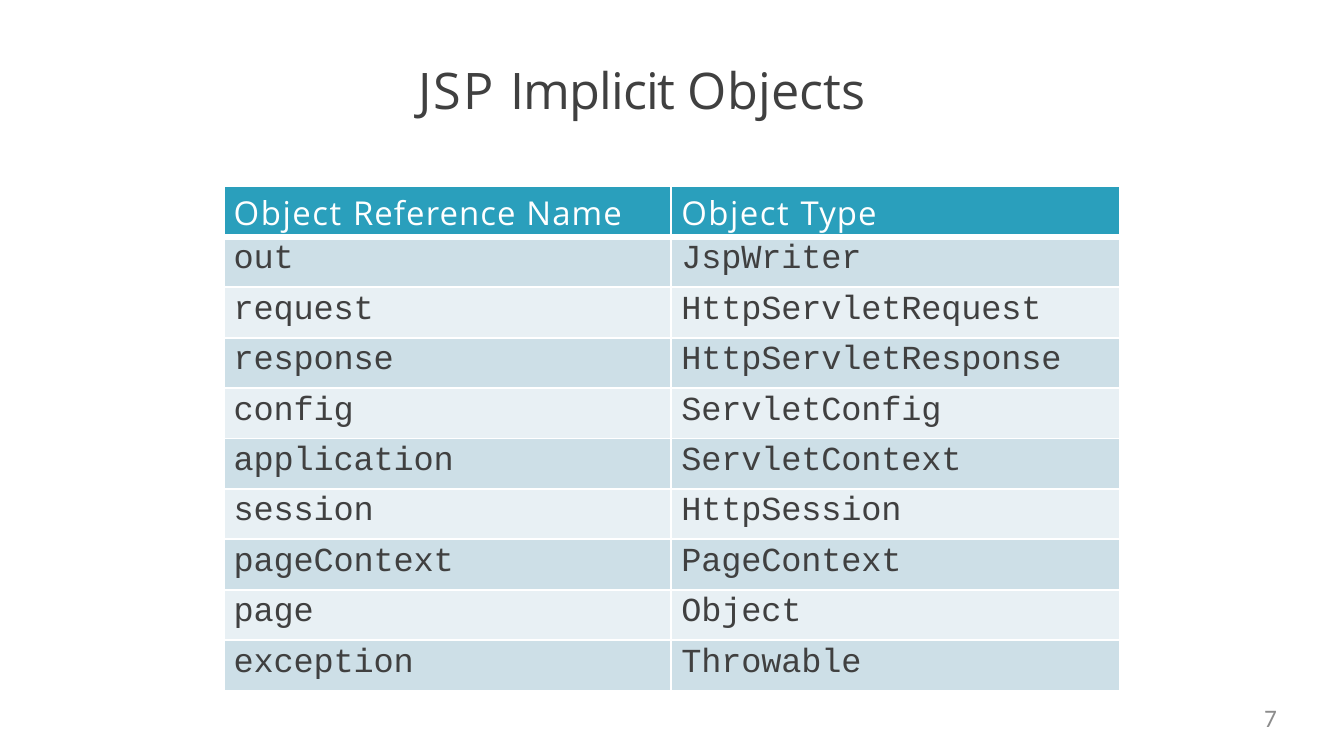
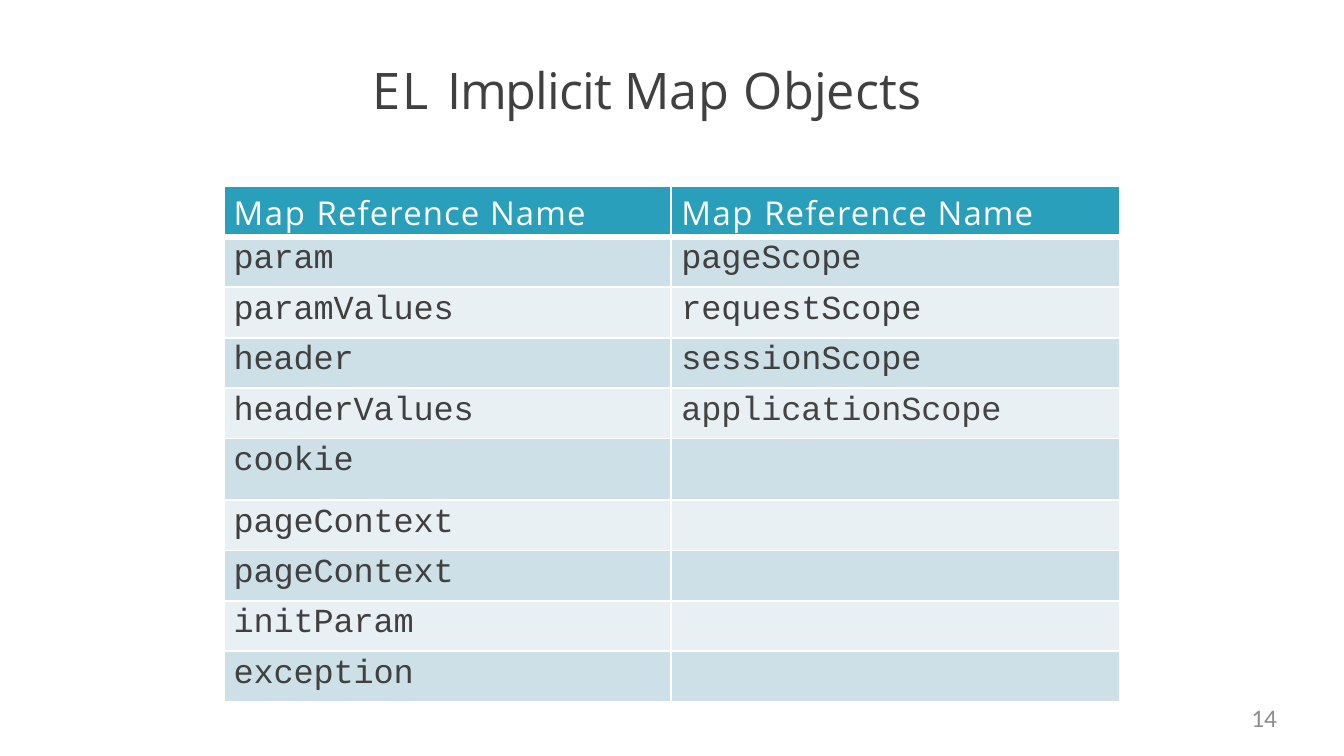
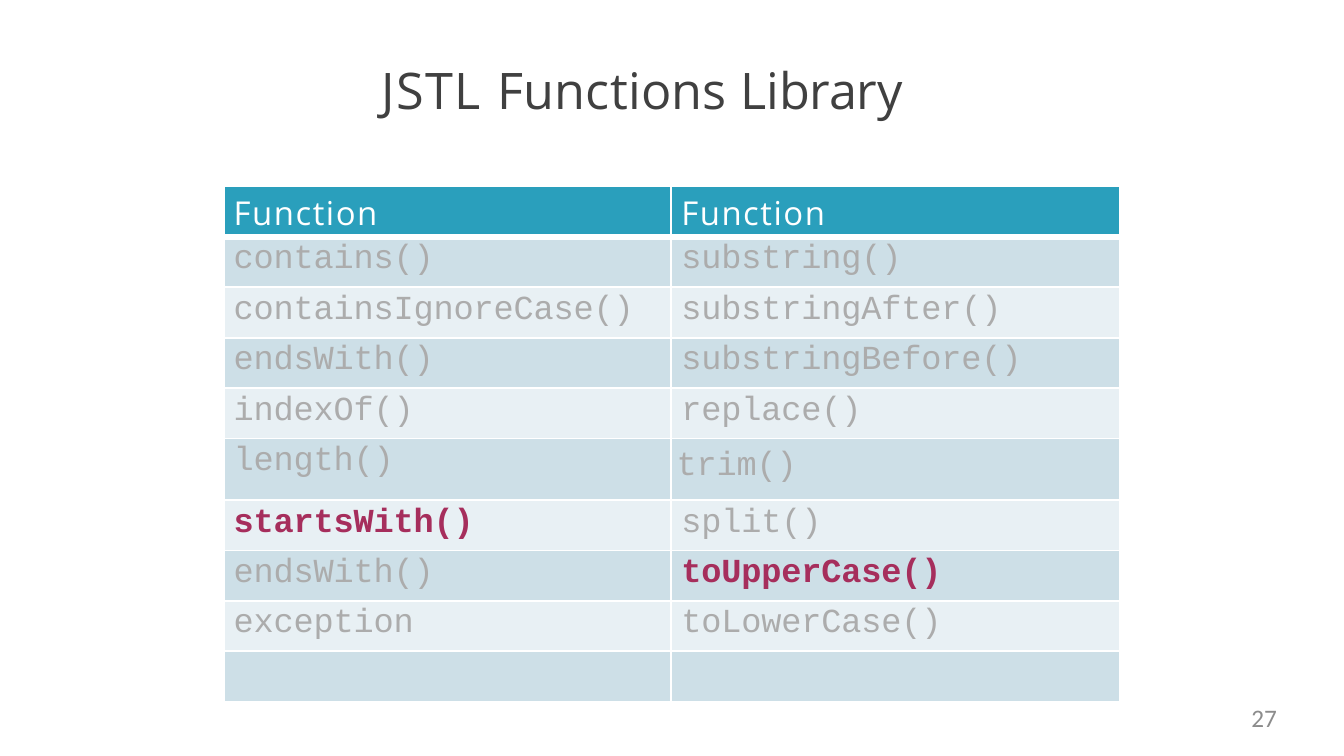
from dataclasses import dataclass, field, replace

from lxml.etree import SubElement
from pptx import Presentation
from pptx.dml.color import RGBColor
from pptx.enum.text import MSO_AUTO_SIZE as AutoSize, PP_ALIGN as Align
from pptx.oxml.ns import qn
from pptx.slide import Slide
from pptx.table import _Cell as Cell
from pptx.text.text import TextFrame, _Paragraph as Paragraph
from pptx.util import Cm, Pt

# Colours and fonts
WHITE = RGBColor(0xFF, 0xFF, 0xFF)
TEAL = RGBColor(0x2A, 0x9F, 0xBC)
BANDS = (RGBColor(0xCD, 0xDF, 0xE7), RGBColor(0xE8, 0xF0, 0xF4))
DARK = RGBColor(0x40, 0x40, 0x40)
SOFT_DARK = RGBColor(0x44, 0x44, 0x44)
FADED = RGBColor(0xAC, 0xAC, 0xAC)
BERRY = RGBColor(0xA6, 0x2E, 0x5C)
GREY = RGBColor(0x8C, 0x8C, 0x8C)
SANS, MONO, FOOTER_FONT = "Open Sans", "Courier New", "Calibri"

# Table measures
COLUMN_WIDTHS = (Cm(11.28), Cm(11.3))
ROW_HEIGHT, TALL_ROW_HEIGHT = Cm(1.27), Cm(1.55)
THIN, THICK = Pt(1.5), Pt(4.25)


@dataclass(frozen=True)
class Span:
    text: str
    spacing: float = 0


@dataclass(frozen=True)
class Look:
    font: str
    size: float
    ink: RGBColor
    bold: bool = False
    indent: float = 0.25
    before: float = 2.6
    inset: float = 0.1


TITLE = Look(SANS, 36, DARK, indent=0.03, before=1, inset=0.03)
HEADER = Look(SANS, 23.5, WHITE, before=2.9)
CODE = Look(MONO, 24, DARK)
FADED_CODE = replace(CODE, ink=FADED)
BERRY_CODE = replace(CODE, ink=BERRY, bold=True)
NUMBER = Look(FOOTER_FONT, 18, GREY, indent=0, before=0, inset=0)


@dataclass(frozen=True)
class TableSlide:
    title: list[Span]
    title_left: float
    title_width: float
    headers: list[list[Span]]
    rows: list[tuple[str, str]]
    number: int
    look: Look = CODE
    special: dict[str, Look] = field(default_factory=dict)
    tall_row: int | None = None


def write(paragraph: Paragraph, spans: list[Span], look: Look) -> None:
    """Add formatted spans to a paragraph."""
    paragraph.space_before = Pt(look.before)
    properties = paragraph._p.get_or_add_pPr()
    properties.set("marL", str(Cm(look.indent)))
    properties.set("indent", "0")
    for span in spans:
        run = paragraph.add_run()
        run.text = span.text
        run.font.name = look.font
        run.font.size = Pt(look.size)
        run.font.bold = look.bold
        run.font.color.rgb = look.ink
        run._r.get_or_add_rPr().set("spc", str(round(span.spacing * 100)))


def add_text(page: Slide, left: float, top: float, width: float, height: float,
             spans: list[Span], look: Look) -> TextFrame:
    box = page.shapes.add_textbox(Cm(left), Cm(top), Cm(width), Cm(height))
    frame = box.text_frame
    frame.word_wrap = True
    frame.auto_size = AutoSize.SHAPE_TO_FIT_TEXT
    frame.margin_left = frame.margin_right = frame.margin_bottom = 0
    frame.margin_top = Cm(look.inset)
    write(frame.paragraphs[0], spans, look)
    return frame


def set_borders(cell: Cell, top: int, bottom: int) -> None:
    """Draw white cell borders; line elements go ahead of the fill."""
    properties = cell._tc.get_or_add_tcPr()
    widths = {"a:lnL": THIN, "a:lnR": THIN, "a:lnT": top, "a:lnB": bottom}
    for position, (tag, width) in enumerate(widths.items()):
        line = SubElement(properties, qn(tag), w=str(width))
        fill = SubElement(line, qn("a:solidFill"))
        SubElement(fill, qn("a:srgbClr"), val=str(WHITE))
        properties.insert(position, line)


def fill_cell(cell: Cell, row: int, spans: list[Span], look: Look) -> None:
    cell.fill.solid()
    cell.fill.fore_color.rgb = BANDS[(row - 1) % 2] if row else TEAL
    cell.margin_left = cell.margin_right = cell.margin_bottom = 0
    cell.margin_top = Cm(look.inset)
    set_borders(cell, THICK if row == 1 else THIN, THICK if row == 0 else THIN)
    write(cell.text_frame.paragraphs[0], spans, look)


def add_reference_table(page: Slide, content: TableSlide) -> None:
    row_count = len(content.rows) + 1
    table = page.shapes.add_table(row_count, len(COLUMN_WIDTHS), Cm(5.64), Cm(4.7),
                                  sum(COLUMN_WIDTHS), ROW_HEIGHT * row_count).table
    for column, width in zip(table.columns, COLUMN_WIDTHS):
        column.width = width
    for index, row in enumerate(table.rows):
        row.height = TALL_ROW_HEIGHT if index == content.tall_row else ROW_HEIGHT
    for column, spans in enumerate(content.headers):
        fill_cell(table.cell(0, column), 0, spans, HEADER)
    for index, names in enumerate(content.rows, start=1):
        for column, name in enumerate(names):
            spans = [Span(name, -0.1)] if name else []
            look = content.special.get(name, content.look)
            fill_cell(table.cell(index, column), index, spans, look)


def add_table_slide(deck: Presentation, content: TableSlide) -> None:
    page = deck.slides.add_slide(deck.slide_layouts[6])
    add_text(page, content.title_left, 1.45, content.title_width, 1.6,
             content.title, TITLE)
    add_reference_table(page, content)
    footer = add_text(page, 24.38, 17.7, 7.8, 0.97, [Span(str(content.number))], NUMBER)
    footer.paragraphs[0].alignment = Align.RIGHT


# Slide content
MAP_HEADER = [Span("Map ", 1.1), Span("Reference Name", 0.8)]
FUNCTION_HEADER = [Span("Function", 1.1)]

SLIDES = [
    TableSlide(
        title=[Span("JSP ", 1.4), Span("Implicit ", -0.7), Span("Objects", 0.1)],
        title_left=10.52,
        title_width=12.6,
        headers=[[Span("Object ", 1.1), Span("Reference Name", 0.8)],
                 [Span("Object ", 1.1), Span("Type", 0.8)]],
        rows=[
            ("out", "JspWriter"),
            ("request", "HttpServletRequest"),
            ("response", "HttpServletResponse"),
            ("config", "ServletConfig"),
            ("application", "ServletContext"),
            ("session", "HttpSession"),
            ("pageContext", "PageContext"),
            ("page", "Object"),
            ("exception", "Throwable"),
        ],
        number=7,
    ),
    TableSlide(
        title=[Span("EL ", 1.8), Span("Implicit ", -0.7), Span("Map ", 0.4),
               Span("Objects", 0.1)],
        title_left=9.35,
        title_width=14.94,
        headers=[MAP_HEADER, MAP_HEADER],
        rows=[
            ("param", "pageScope"),
            ("paramValues", "requestScope"),
            ("header", "sessionScope"),
            ("headerValues", "applicationScope"),
            ("cookie", ""),
            ("pageContext", ""),
            ("pageContext", ""),
            ("initParam", ""),
            ("exception", ""),
        ],
        number=14,
        special={"applicationScope": replace(CODE, ink=SOFT_DARK)},
        tall_row=5,
    ),
    TableSlide(
        title=[Span("JSTL ", 1.1), Span("Functions ", 0.2), Span("Library", -0.2)],
        title_left=9.58,
        title_width=14.48,
        headers=[FUNCTION_HEADER, FUNCTION_HEADER],
        rows=[
            ("contains()", "substring()"),
            ("containsIgnoreCase()", "substringAfter()"),
            ("endsWith()", "substringBefore()"),
            ("indexOf()", "replace()"),
            ("length()", "trim()"),
            ("startsWith()", "split()"),
            ("endsWith()", "toUpperCase()"),
            ("exception", "toLowerCase()"),
            ("", ""),
        ],
        number=27,
        look=FADED_CODE,
        special={
            "startsWith()": BERRY_CODE,
            "toUpperCase()": BERRY_CODE,
            "trim()": replace(FADED_CODE, indent=0.13, before=6.5, inset=0.23),
        },
        tall_row=5,
    ),
]

# Build the deck
deck = Presentation()
deck.slide_width, deck.slide_height = Cm(33.87), Cm(19.05)
for content in SLIDES:
    add_table_slide(deck, content)
deck.save("out.pptx")
